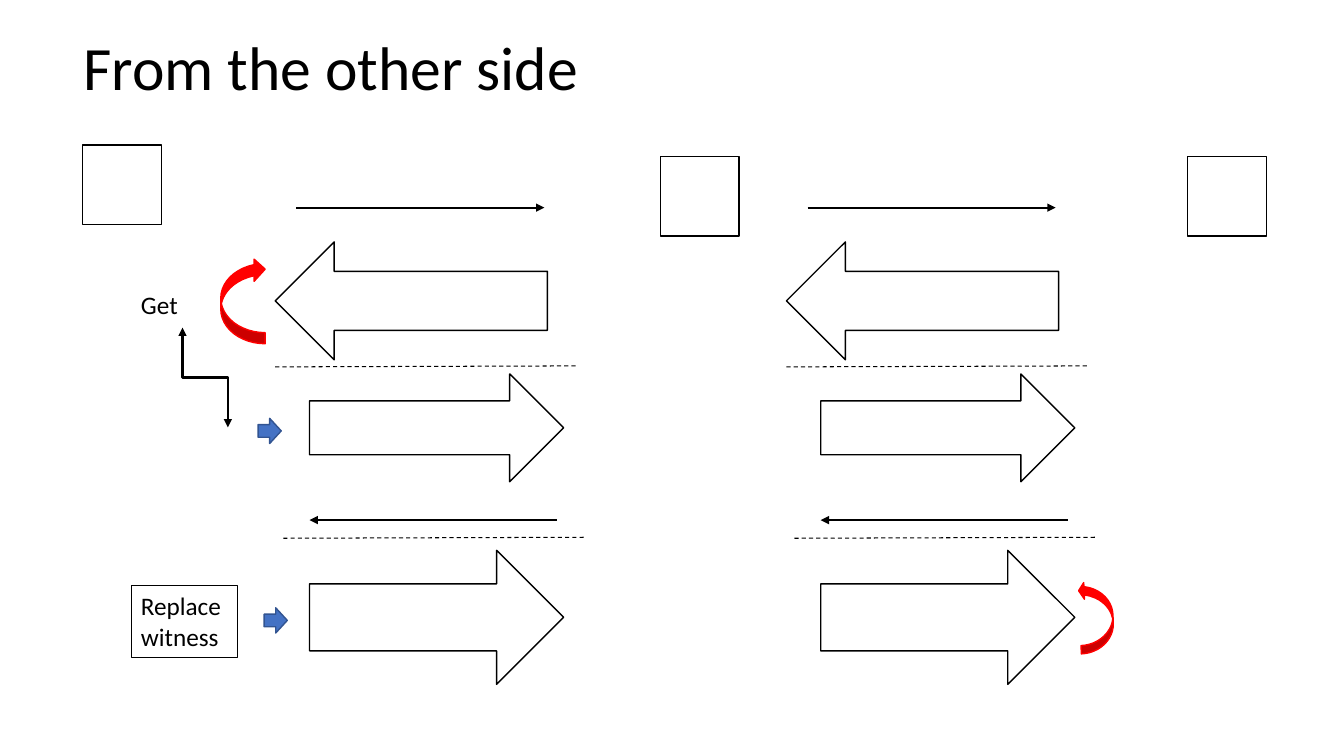
from pptx import Presentation
from pptx.dml.color import RGBColor
from pptx.enum.dml import MSO_LINE
from pptx.enum.shapes import MSO_CONNECTOR, MSO_SHAPE
from pptx.enum.text import MSO_ANCHOR
from pptx.oxml.ns import qn
from pptx.util import Inches, Pt
from lxml import etree

BOX, LEFT, RIGHT = MSO_SHAPE.RECTANGLE, MSO_SHAPE.LEFT_ARROW, MSO_SHAPE.RIGHT_ARROW
CURL_LEFT, CURL_UP = MSO_SHAPE.CURVED_LEFT_ARROW, MSO_SHAPE.CURVED_UP_ARROW
STRAIGHT, ELBOW = MSO_CONNECTOR.STRAIGHT, MSO_CONNECTOR.ELBOW
DASH = MSO_LINE.DASH
MIDDLE, TOP = MSO_ANCHOR.MIDDLE, MSO_ANCHOR.TOP

# Content: places are in inches
TITLE = "From the other side"
GET = "Get"
WITNESS = ["Replace", "witness"]

LANES = [0, 5.07]  # shift of each lane to the right
FLOWS = [  # kind, left, top, width, height
    (LEFT, 2.73, 2.4, 2.7, 1.17),
    (RIGHT, 3.07, 3.71, 2.52, 1.07),
    (RIGHT, 3.07, 5.46, 2.52, 1.33),
]
CALLS = [(2.94, 5.4, 2.06), (5.52, 3.07, 5.16)]  # from x, to x, y
BREAKS = [(2.73, 3.64), (2.81, 5.34)]  # left, top
BREAK_W, BREAK_RISE = 3, 0.01
NODES = [(0.82, 1.44), (6.55, 1.55), (11.78, 1.55)]
NODE_W, NODE_H = 0.78, 0.79
STEPS = [(2.56, 4.15), (2.62, 6.03)]
STEP_W, STEP_H = 0.23, 0.25

THEME = {
    "font": "Calibri", "title": 44, "body": 18,
    "ink": "000000", "paper": "FFFFFF", "turn": "FF0000",
    "step": "4472C4", "edge": "325491",
    "thin": 0.75, "line": 1, "bold": 1.5,
}

deck = Presentation()
deck.slide_width, deck.slide_height = Inches(13.33), Inches(7.5)
slide = deck.slides.add_slide(deck.slide_layouts[6])


def paint(name):
    return RGBColor.from_string(THEME[name])


def add_text(text, x, y, w, h, size="body", anchor=TOP, space=None, edge=None):
    box = slide.shapes.add_textbox(Inches(x), Inches(y), Inches(w), Inches(h))
    frame = box.text_frame
    frame.word_wrap = True
    frame.vertical_anchor = anchor
    frame.text = text
    for para in frame.paragraphs:
        para.line_spacing = space
        para.font.name = THEME["font"]
        para.font.size = Pt(THEME[size])
        para.font.color.rgb = paint("ink")
    if edge:
        box.line.color.rgb = paint(edge)
        box.line.width = Pt(THEME["thin"])


def add_shape(kind, x, y, w, h, fill="paper", edge="ink", turn=0):
    shape = slide.shapes.add_shape(kind, Inches(x), Inches(y), Inches(w), Inches(h))
    shape.shadow.inherit = False
    shape.fill.solid()
    shape.fill.fore_color.rgb = paint(fill)
    shape.line.color.rgb = paint(edge)
    shape.line.width = Pt(THEME["line"])
    shape.rotation = turn
    return shape


def add_line(x1, y1, x2, y2, kind=STRAIGHT, width="bold", dash=None, ends=()):
    link = slide.shapes.add_connector(kind, Inches(x1), Inches(y1), Inches(x2), Inches(y2))
    link.line.color.rgb = paint("ink")
    link.line.width = Pt(THEME[width])
    if dash:
        link.line.dash_style = dash
    props = link._element.spPr
    for end in ends:
        etree.SubElement(props.find(qn("a:ln")), qn("a:" + end), type="triangle")
    etree.SubElement(props, qn("a:effectLst"))
    return link


# Title
add_text(TITLE, 0.73, 0.26, 11.5, 0.88, size="title", anchor=MIDDLE, space=0.9)

# Two lanes with the same flows
for shift in LANES:
    for kind, x, y, w, h in FLOWS:
        add_shape(kind, x + shift, y, w, h)
    for start, end, y in CALLS:
        add_line(start + shift, y, end + shift, y, ends=["tailEnd"])
    for x, y in BREAKS:
        add_line(x + shift, y, x + shift + BREAK_W, y - BREAK_RISE,
                 width="thin", dash=DASH)

# Nodes
for x, y in NODES:
    add_shape(BOX, x, y, NODE_W, NODE_H)

# Red turns at both ends
curl = add_shape(CURL_UP, 10.52, 5.96, 0.71, 0.33, fill="turn", edge="turn", turn=267.5)
curl.adjustments[2] = 0.165
add_shape(CURL_LEFT, 2.19, 2.56, 0.44, 0.85, fill="turn", edge="turn", turn=180)

# Stepped link from Get down to the blue arrow
bend = add_line(1.54, 3.52, 2.53, 3.97, kind=ELBOW, ends=["headEnd", "tailEnd"])
frame = bend._element.spPr.find(qn("a:xfrm"))
frame.set("rot", str(270 * 60000))
frame.set("flipH", "1")

# Labels and blue steps
add_text(GET, 1.3, 2.82, 0.78, 0.4)
for x, y in STEPS:
    add_shape(RIGHT, x, y, STEP_W, STEP_H, fill="step", edge="edge")
add_text("\n".join(WITNESS), 1.3, 5.81, 1.06, 0.71, edge="ink")

deck.save("out.pptx")
